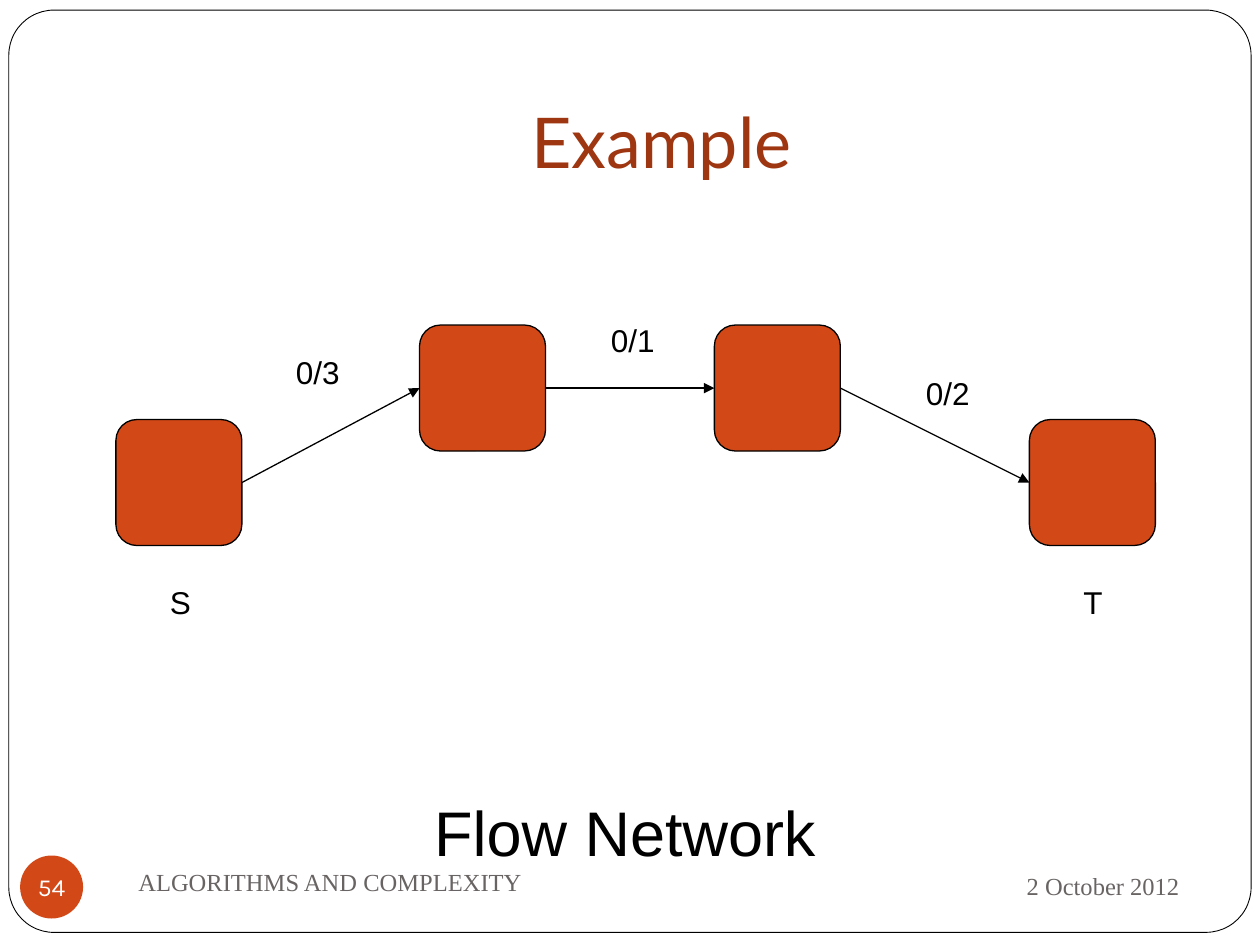
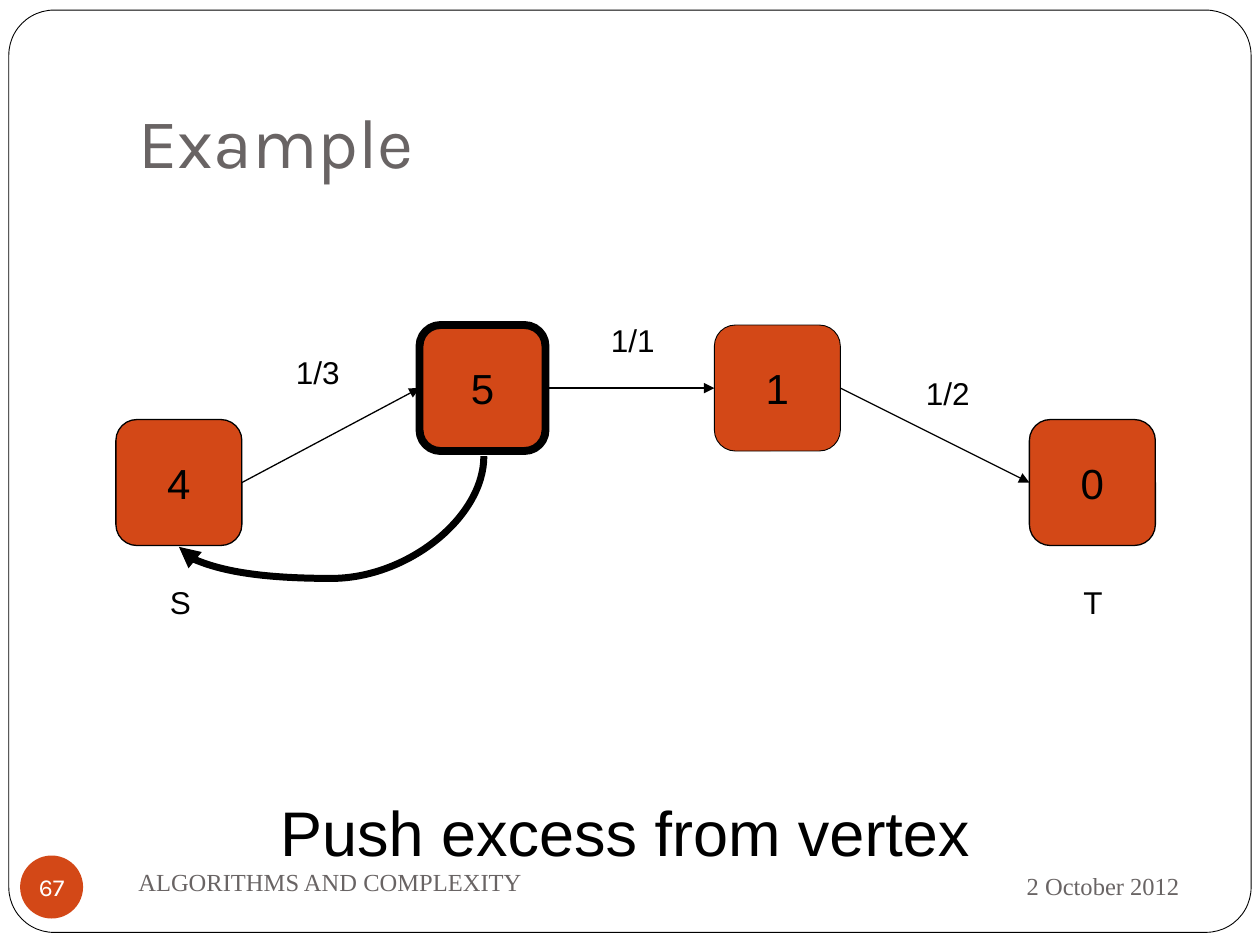
from pptx import Presentation
from pptx import util as u
from pptx.dml.color import RGBColor
from pptx.enum import shapes, text
from pptx.oxml.ns import qn
from lxml import etree

COLORS = {
    "paper": "FFFFFF",
    "ink": "000000",
    "accent": "D34817",
    "rust": "9E3611",
    "gray": "696464",
}
BODY_FONT, FOOTER_FONT, THEME_FONT = "Arial", "Times New Roman", "Karla"
LEFT, CENTER, RIGHT = text.PP_ALIGN.LEFT, text.PP_ALIGN.CENTER, text.PP_ALIGN.RIGHT
TOP, MIDDLE, BOTTOM = text.MSO_ANCHOR.TOP, text.MSO_ANCHOR.MIDDLE, text.MSO_ANCHOR.BOTTOM
SIDE_LEFT, SIDE_BOTTOM, SIDE_RIGHT = 1, 2, 3

DIAGRAM_BOX = (0.92, 2.5, 8.25, 2.48)
NODE_SIZE = 1
NODE_OFFSETS = [(0, 0.83), (2.41, 0.08), (4.75, 0.08), (7.25, 0.83)]
FLOW_LABELS = [(1.33, 0.25), (3.83, 0), (6.33, 0.42)]
END_LABELS = [("S", 0.33, 0.37), ("T", 7.58, 0.35)]
END_LABEL_TOP = 2.08


def color(name):
    return RGBColor.from_string(COLORS[name])


def inches(*lengths):
    return [u.Inches(length) for length in lengths]


def write(shape, words, size=18, font=BODY_FONT, ink="ink", align=LEFT, anchor=TOP,
          wrap=True, grow=False, insets=(0.1, 0.05, 0.1, 0.05)):
    frame = shape.text_frame
    frame.auto_size = (text.MSO_AUTO_SIZE.SHAPE_TO_FIT_TEXT if grow
                       else text.MSO_AUTO_SIZE.NONE)
    frame.word_wrap = wrap
    frame.vertical_anchor = anchor
    (frame.margin_left, frame.margin_top,
     frame.margin_right, frame.margin_bottom) = inches(*insets)
    para = frame.paragraphs[0]
    para.alignment = align
    span = para.add_run()
    span.text = words
    span.font.size = u.Pt(size)
    span.font.name = font
    span.font.color.rgb = color(ink)


def add_text(page, box, words, **style):
    write(page.shapes.add_textbox(*inches(*box)), words, **style)


def add_block(page, kind, box, fill, line_width=None):
    block = page.shapes.add_shape(kind, *inches(*box))
    block.shadow.inherit = False
    block.fill.solid()
    block.fill.fore_color.rgb = color(fill)
    if line_width:
        block.line.color.rgb = color("ink")
        block.line.width = u.Pt(line_width)
    else:
        block.line.fill.background()
    return block


def add_arrow(page, kind, start, start_side, end, end_side, width=0.75):
    arrow = page.shapes.add_connector(kind, 0, 0, 0, 0)
    arrow.begin_connect(start, start_side)
    arrow.end_connect(end, end_side)
    arrow.line.color.rgb = color("ink")
    arrow.line.width = u.Pt(width)
    etree.SubElement(arrow.line._get_or_add_ln(), qn("a:tailEnd"), type="triangle")
    etree.SubElement(arrow._element.spPr, qn("a:effectLst"))
    return arrow


def add_push_back(page, start, end):
    """Thick curve that leaves the bottom of start and enters the bottom of end."""
    arrow = add_arrow(page, shapes.MSO_CONNECTOR.CURVE, start, SIDE_BOTTOM,
                      end, SIDE_BOTTOM, width=4)
    # The curve is a sideways S, turned a quarter so that it starts downwards.
    arrow.left, arrow.top, arrow.width, arrow.height = inches(2.27, 2.77, 0.72, 2.42)
    properties = arrow._element.spPr
    frame = properties.find(qn("a:xfrm"))
    for flip in ("flipH", "flipV"):
        frame.attrib.pop(flip, None)
    frame.set("rot", str(90 * 60000))
    geometry = properties.find(qn("a:prstGeom"))
    guides = geometry.find(qn("a:avLst"))
    if guides is None:
        guides = etree.SubElement(geometry, qn("a:avLst"))
    etree.SubElement(guides, qn("a:gd"), name="adj1", fmla="val 134800")


def add_network(page, box, flows, excesses, line_widths):
    left, top = box[:2]
    nodes = []
    for (x, y), excess, width in zip(NODE_OFFSETS, excesses, line_widths):
        node = add_block(page, shapes.MSO_SHAPE.ROUNDED_RECTANGLE,
                         (left + x, top + y, NODE_SIZE, NODE_SIZE), "accent", width)
        if excess:
            write(node, excess, size=24, align=CENTER, anchor=MIDDLE, wrap=False)
        nodes.append(node)
    for start, end in zip(nodes, nodes[1:]):
        add_arrow(page, shapes.MSO_CONNECTOR.STRAIGHT, start, SIDE_RIGHT, end, SIDE_LEFT)
    for (x, y), flow in zip(FLOW_LABELS, flows):
        add_text(page, (left + x, top + y, 0.55, 0.4), flow, wrap=False, grow=True)
    for name, x, width in END_LABELS:
        add_text(page, (left + x, top + END_LABEL_TOP, width, 0.4), name,
                 wrap=False, grow=True)
    return nodes


def add_footer(page, number):
    add_text(page, (6.75, 6.77, 2.71, 0.52), "2 October 2012", size=14,
             font=FOOTER_FONT, ink="gray", align=RIGHT, anchor=MIDDLE)
    badge = add_block(page, shapes.MSO_SHAPE.OVAL, (0.16, 6.79, 0.5, 0.5), "accent")
    write(badge, number, size=14, font=THEME_FONT, ink="paper", align=CENTER,
          anchor=MIDDLE, wrap=False, insets=(0, 0, 0, 0))
    add_text(page, (1, 6.75, 4.33, 0.5), "ALGORITHMS AND COMPLEXITY", size=14,
             font=FOOTER_FONT, ink="gray", anchor=MIDDLE)


def add_layout_frame(page):
    """Draw the rounded page border and move it to the layout shared by all pages."""
    border = add_block(page, shapes.MSO_SHAPE.ROUNDED_RECTANGLE,
                       (0.07, 0.08, 9.86, 7.32), "paper", 0.5)
    border.adjustments[0] = 0.049
    page.slide_layout.shapes._spTree.insert(2, border._element)


def add_example(deck, number, caption, flows, excesses, line_widths, **title_style):
    page = deck.slides.add_slide(deck.slide_layouts[5])
    title = page.shapes.title
    title.left, title.top, title.width, title.height = inches(1, 0.3, 8.5, 1.25)
    write(title, "Example", size=40, anchor=BOTTOM, insets=(0.1, 0.05, 0.1, 0.1),
          **title_style)
    nodes = add_network(page, DIAGRAM_BOX, flows, excesses, line_widths)
    add_text(page, (1, 6.25, 7.92, 0.7), caption, size=36, align=CENTER, grow=True)
    add_footer(page, number)
    return page, nodes


def main():
    deck = Presentation()
    deck.slide_width, deck.slide_height = inches(10, 7.5)

    page, nodes = add_example(deck, "54", "Flow Network", ["0/3", "0/1", "0/2"],
                              [""] * 4, [0.75] * 4,
                              font="Lato", ink="rust", align=CENTER)
    add_layout_frame(page)

    page, nodes = add_example(deck, "67", "Push excess from vertex",
                              ["1/3", "1/1", "1/2"], ["4", "5", "1", "0"],
                              [0.75, 4.5, 0.5, 0.75], font=THEME_FONT, ink="gray")
    add_push_back(page, nodes[1], nodes[0])

    deck.save("out.pptx")


if __name__ == "__main__":
    main()
